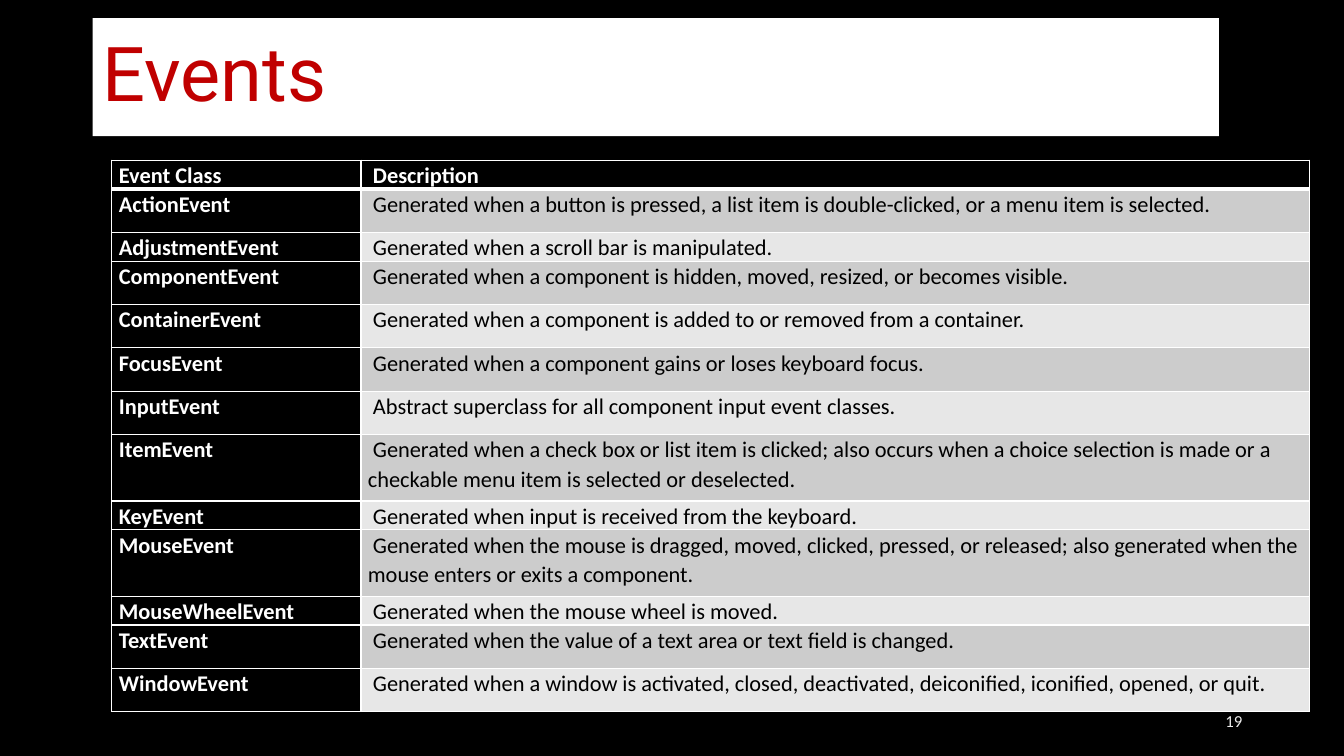
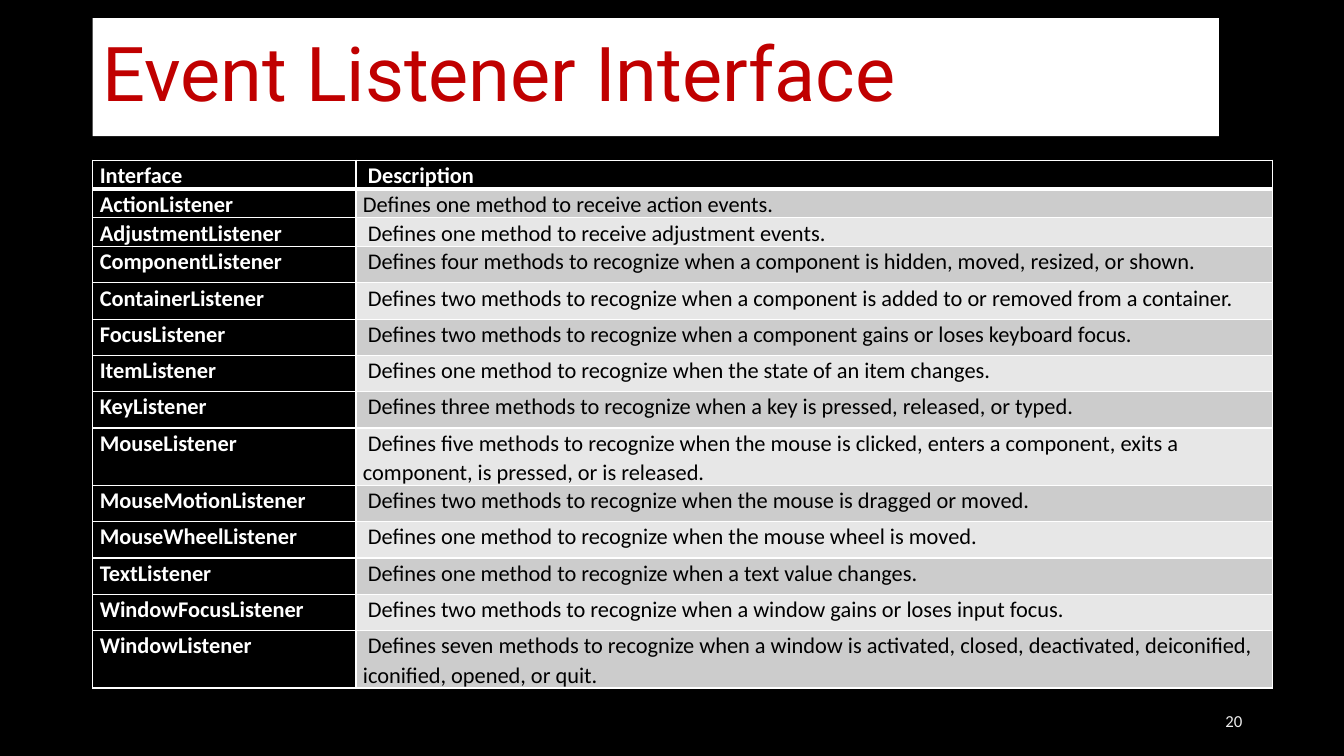
import dataclasses

import lxml.etree
import pptx
import pptx.dml.color
import pptx.enum.shapes
import pptx.enum.text
import pptx.oxml.ns
import pptx.util

Inches = pptx.util.Inches
Pt = pptx.util.Pt
qn = pptx.oxml.ns.qn
PP_ALIGN = pptx.enum.text.PP_ALIGN
MIDDLE = pptx.enum.text.MSO_ANCHOR.MIDDLE


@dataclasses.dataclass(frozen=True)
class Theme:
    dark: str = "000000"
    light: str = "FFFFFF"
    accent: str = "C00000"
    bands: tuple = ("CCCCCC", "E7E7E7")
    number_gradient: tuple = ((0, "9E9E9E"), (28, "EDEDED"), (100, "FFFFFF"))
    title_font: str = "Roboto"
    body_font: str = "Calibri"
    title_size: int = 54
    table_size: int = 16
    number_size: int = 12
    rule: int = 1
    header_rule: int = 3


THEME = Theme()
TITLE_BOX = (0.92, 0.18, 11.17, 1.17)
NUMBER_BOX = (9.42, 6.95, 3, 0.4)

EVENTS = [
    ("Event Class", " Description", 0.25),
    ("ActionEvent", " Generated when a button is pressed, a list item is double-clicked, or a menu item is selected.", 0.43),
    ("AdjustmentEvent", " Generated when a scroll bar is manipulated.", 0.21),
    ("ComponentEvent", " Generated when a component is hidden, moved, resized, or becomes visible.", 0.43),
    ("ContainerEvent", " Generated when a component is added to or removed from a container.", 0.43),
    ("FocusEvent", " Generated when a component gains or loses keyboard focus.", 0.43),
    ("InputEvent", " Abstract superclass for all component input event classes.", 0.43),
    ("ItemEvent", " Generated when a check box or list item is clicked; also occurs when a choice selection is made or a "
     "checkable menu item is selected or deselected.", 0.66),
    ("KeyEvent", " Generated when input is received from the keyboard.", 0.21),
    ("MouseEvent", " Generated when the mouse is dragged, moved, clicked, pressed, or released; also generated when the "
     "mouse enters or exits a component.", 0.66),
    ("MouseWheelEvent", " Generated when the mouse wheel is moved.", 0.21),
    ("TextEvent", " Generated when the value of a text area or text field is changed.", 0.43),
    ("WindowEvent", " Generated when a window is activated, closed, deactivated, deiconified, iconified, opened, or quit.", 0.43),
]

LISTENERS = [
    ("Interface", " Description", 0.2),
    ("ActionListener", "Defines one method to receive action events.", 0.18),
    ("AdjustmentListener", " Defines one method to receive adjustment events.", 0.18),
    ("ComponentListener", " Defines four methods to recognize when a component is hidden, moved, resized, or shown.", 0.36),
    ("ContainerListener", " Defines two methods to recognize when a component is added to or removed from a container.", 0.36),
    ("FocusListener", " Defines two methods to recognize when a component gains or loses keyboard focus.", 0.36),
    ("ItemListener", " Defines one method to recognize when the state of an item changes.", 0.36),
    ("KeyListener", " Defines three methods to recognize when a key is pressed, released, or typed.", 0.36),
    ("MouseListener", " Defines five methods to recognize when the mouse is clicked, enters a component, exits a "
     "component, is pressed, or is released.", 0.55),
    ("MouseMotionListener", " Defines two methods to recognize when the mouse is dragged or moved.", 0.36),
    ("MouseWheelListener", " Defines one method to recognize when the mouse wheel is moved.", 0.36),
    ("TextListener", " Defines one method to recognize when a text value changes.", 0.36),
    ("WindowFocusListener", " Defines two methods to recognize when a window gains or loses input focus.", 0.36),
    ("WindowListener", " Defines seven methods to recognize when a window is activated, closed, deactivated, deiconified, "
     "iconified, opened, or quit.", 0.55),
]


def rgb(value):
    return pptx.dml.color.RGBColor.from_string(value)


def paint(fill, color):
    fill.solid()
    fill.fore_color.rgb = rgb(color)


def write(frame, text, size, color, font=THEME.body_font, bold=False, align=PP_ALIGN.LEFT, spacing=1.0):
    frame.word_wrap = True
    paragraph = frame.paragraphs[0]
    paragraph.alignment = align
    paragraph.line_spacing = spacing
    run = paragraph.add_run()
    run.text = text
    run.font.size = Pt(size)
    run.font.name = font
    run.font.bold = bold
    run.font.color.rgb = rgb(color)
    return run


def add_title(slide, box, text):
    band = slide.shapes.add_shape(pptx.enum.shapes.MSO_SHAPE.RECTANGLE, *map(Inches, box))
    band.shadow.inherit = False
    paint(band.fill, THEME.light)
    band.line.fill.background()
    band.text_frame.vertical_anchor = MIDDLE
    write(band.text_frame, text, THEME.title_size, THEME.accent, font=THEME.title_font, spacing=0.9)


def add_number(slide, box, number):
    frame = slide.shapes.add_textbox(*map(Inches, box)).text_frame
    frame.vertical_anchor = MIDDLE
    run = write(frame, str(number), THEME.number_size, THEME.light, align=PP_ALIGN.RIGHT)
    run.font.fill.gradient()
    run.font.fill.gradient_angle = 270
    stops = run.font._element.find(qn("a:gradFill")).find(qn("a:gsLst"))
    stops.clear()
    for position, color in THEME.number_gradient:
        stop = lxml.etree.SubElement(stops, qn("a:gs"), pos=str(position * 1000))
        lxml.etree.SubElement(stop, qn("a:srgbClr"), val=color)


def rule_cell(cell, widths):
    properties = cell._tc.get_or_add_tcPr()
    for index, (side, width) in enumerate(widths.items()):
        border = lxml.etree.Element(qn(f"a:{side}"), w=str(Pt(width)))
        fill = lxml.etree.SubElement(border, qn("a:solidFill"))
        lxml.etree.SubElement(fill, qn("a:srgbClr"), val=THEME.light)
        properties.insert(index, border)


def add_definitions(slide, left, top, column_widths, entries):
    height = sum(entry[-1] for entry in entries)
    box = (left, top, sum(column_widths), height)
    table = slide.shapes.add_table(len(entries), len(column_widths), *map(Inches, box)).table
    for column, width in zip(table.columns, column_widths):
        column.width = Inches(width)
    for row, (*texts, row_height) in enumerate(entries):
        table.rows[row].height = Inches(row_height)
        widths = {
            "lnL": THEME.rule,
            "lnR": THEME.rule,
            "lnT": THEME.header_rule if row == 1 else THEME.rule,
            "lnB": THEME.header_rule if row == 0 else THEME.rule,
        }
        for column, text in enumerate(texts):
            cell = table.cell(row, column)
            heading = row == 0 or column == 0
            cell.margin_left = cell.margin_right = Inches(0.07)
            cell.margin_top = cell.margin_bottom = 0
            paint(cell.fill, THEME.dark if heading else THEME.bands[(row - 1) % 2])
            rule_cell(cell, widths)
            write(cell.text_frame, text, THEME.table_size, THEME.light if heading else THEME.dark,
                  bold=heading, spacing=1.07)


def add_definition_slide(deck, title, number, left, column_widths, entries):
    slide = deck.slides.add_slide(deck.slide_layouts[6])
    paint(slide.background.fill, THEME.dark)
    add_title(slide, TITLE_BOX, title)
    add_number(slide, NUMBER_BOX, number)
    add_definitions(slide, left, 1.59, column_widths, entries)


def main():
    deck = pptx.Presentation()
    deck.slide_width = Inches(13.33)
    deck.slide_height = Inches(7.5)
    add_definition_slide(deck, "Events", 19, 1.11, (2.47, 9.41), EVENTS)
    add_definition_slide(deck, "Event Listener Interface", 20, 0.92, (2.61, 9.09), LISTENERS)
    deck.save("out.pptx")


if __name__ == "__main__":
    main()
